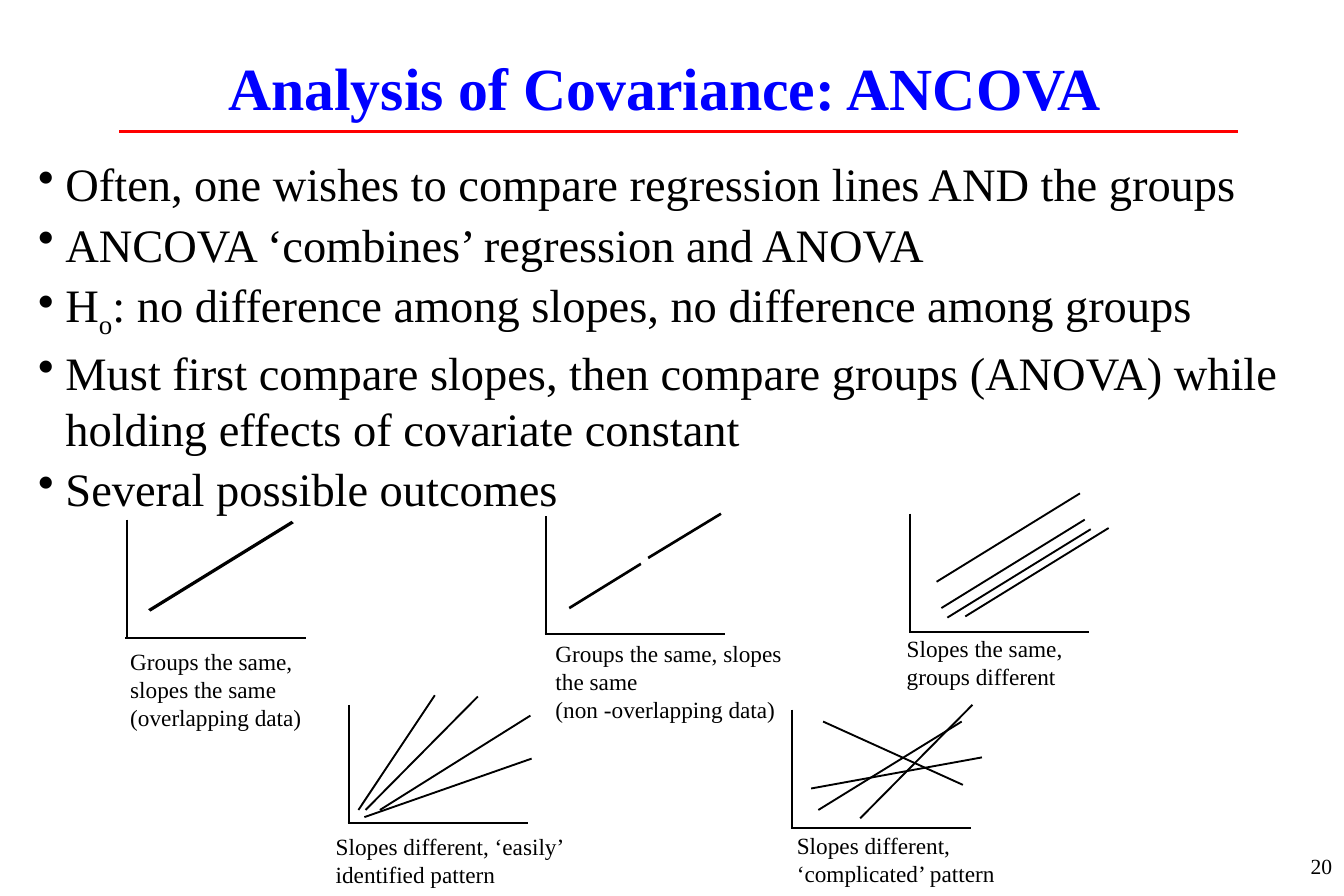
from dataclasses import dataclass

from lxml.etree import SubElement
from pptx import Presentation
from pptx.dml.color import RGBColor
from pptx.enum.shapes import MSO_CONNECTOR as Connector
from pptx.enum.text import MSO_ANCHOR as Anchor, MSO_AUTO_SIZE as AutoSize, PP_ALIGN as Align
from pptx.oxml.ns import qn
from pptx.util import Inches, Pt


@dataclass(frozen=True)
class Theme:
    font: str = "Times New Roman"
    title_color: RGBColor = RGBColor(0x00, 0x00, 0xFF)
    rule_color: RGBColor = RGBColor(0xFF, 0x00, 0x00)
    ink: RGBColor = RGBColor(0x00, 0x00, 0x00)
    title_size: float = 36
    body_size: float = 28
    caption_size: float = 14
    number_size: float = 13
    rule_width: float = 1.5
    plot_width: float = 1.13


class AncovaSlide:
    """Draws the parts of one slide in a shared style."""

    def __init__(self, slide, theme):
        self.slide, self.theme = slide, theme

    def style_frame(self, frame, margins=(0.1, 0.05), **formats):
        side, end = (Inches(margin) for margin in margins)
        settings = {
            "word_wrap": True, "auto_size": AutoSize.NONE, "vertical_anchor": Anchor.TOP,
            "margin_left": side, "margin_right": side, "margin_top": end, "margin_bottom": end,
        }
        for name, value in (settings | formats).items():
            setattr(frame, name, value)

    def add_words(self, paragraph, words, size, color=None, bold=False, baseline=0):
        run = paragraph.add_run()
        run.text = words
        formats = {"name": self.theme.font, "size": Pt(size), "bold": bold}
        for name, value in formats.items():
            setattr(run.font, name, value)
        run.font.color.rgb = color or self.theme.ink
        if baseline:
            run._r.get_or_add_rPr().set("baseline", str(baseline * 1000))

    def title(self, words, box):
        heading = self.slide.shapes.title
        for name, value in zip(("left", "top", "width", "height"), box):
            setattr(heading, name, Inches(value))
        self.style_frame(heading.text_frame, vertical_anchor=Anchor.MIDDLE)
        paragraph = heading.text_frame.paragraphs[0]
        paragraph.alignment = Align.CENTER
        self.add_words(paragraph, words, self.theme.title_size, self.theme.title_color, bold=True)

    def text(self, lines, box, size, align=Align.LEFT, **frame_formats):
        frame = self.slide.shapes.add_textbox(*map(Inches, box)).text_frame
        self.style_frame(frame, **frame_formats)
        for index, line in enumerate(lines):
            paragraph = frame.add_paragraph() if index else frame.paragraphs[0]
            paragraph.alignment = align
            for part, baseline in [(line, 0)] if isinstance(line, str) else line:
                self.add_words(paragraph, part, size, baseline=baseline)
        return frame

    def bullets(self, lines, box):
        for paragraph in self.text(lines, box, self.theme.body_size).paragraphs:
            paragraph.space_before = Pt(2.8)
            properties = paragraph._p.get_or_add_pPr()
            properties.set("marL", str(Inches(0.23)))
            properties.set("indent", str(-Inches(0.23)))
            SubElement(properties, qn("a:buChar"), char="•")

    def line(self, ends, color, width, shapes=None):
        shapes = shapes or self.slide.shapes
        stroke = shapes.add_connector(Connector.STRAIGHT, *map(Inches, ends))
        stroke.line.color.rgb = color
        stroke.line.width = Pt(width)
        SubElement(stroke._element.spPr, qn("a:effectLst"))

    def bar(self, ends, shapes, shift):
        x1, y1, x2, y2 = ends
        dx, dy = shift
        corners = [(x1, y1), (x1 + dx, y1 + dy), (x2 + dx, y2 + dy), (x2, y2)]
        start, *others = [(Inches(x), Inches(y)) for x, y in corners]
        builder = shapes.build_freeform(*start)
        builder.add_line_segments(others, close=True)
        stroke = builder.convert_to_shape()
        stroke.shadow.inherit = False
        stroke.fill.solid()
        stroke.fill.fore_color.rgb = self.theme.ink
        stroke.line.fill.background()

    def plot(self, origin, caption, caption_box, trends=(), bars=(), shift=(0.01, 0.02)):
        x, y = origin
        shapes = self.slide.shapes.add_group_shape().shapes
        axes = [(x + 0.01, y - 0.99, x + 0.01, y - 0.01), (x, y, x + 1.51, y)]
        for ends in [*axes, *trends]:
            self.line(ends, self.theme.ink, self.theme.plot_width, shapes)
        for ends in bars:
            self.bar(ends, shapes, shift)
        self.text(caption, caption_box, self.theme.caption_size, margins=(0, 0))


BULLETS = [
    "Often, one wishes to compare regression lines AND the groups",
    "ANCOVA ‘combines’ regression and ANOVA",
    [("H", 0), ("o", -25), (": no difference among slopes, no difference among groups", 0)],
    "Must first compare slopes, then compare groups (ANOVA) while "
    "holding effects of covariate constant",
    "Several possible outcomes",
]

OUTCOMES = [
    {"origin": (1.05, 5.34), "caption_box": (1.09, 5.42, 1.74, 0.7),
     "caption": ["Groups the same, slopes the same (overlapping data)"],
     "bars": [(1.24, 5.1, 2.44, 4.36)], "shift": (0.02, 0.02)},
    {"origin": (4.56, 5.31), "caption_box": (4.65, 5.35, 2.1, 0.7),
     "caption": ["Groups the same, slopes the same", "(non -overlapping data)"],
     "bars": [(4.76, 5.08, 5.36, 4.71), (5.42, 4.66, 6.03, 4.29)], "shift": (0.01, 0.02)},
    {"origin": (7.61, 5.29), "caption_box": (7.59, 5.31, 1.74, 0.47),
     "caption": ["Slopes the same, groups different"],
     "trends": [(x, y, x + 1.2, y - 0.74)
                for x, y in [(7.93, 5.17), (8.08, 5.16), (7.84, 4.87), (7.88, 5.09)]]},
    {"origin": (2.91, 6.89), "caption_box": (2.81, 6.97, 2.16, 0.47),
     "caption": ["Slopes different, ‘easily’ identified pattern"],
     "trends": [(3.05, 6.84, 4.45, 6.35), (3, 6.78, 3.64, 5.82),
                (3.18, 6.78, 4.44, 5.99), (3.06, 6.78, 4, 5.83)]},
    {"origin": (6.62, 6.93), "caption_box": (6.67, 6.96, 1.74, 0.47),
     "caption": ["Slopes different, ‘complicated’ pattern"],
     "trends": [(6.85, 6.78, 8.05, 6.04), (6.89, 6.04, 8.06, 6.57),
                (7.2, 6.85, 8.14, 5.9), (6.79, 6.6, 8.22, 6.34)]},
]


def main():
    deck = Presentation()
    deck.slide_width, deck.slide_height = Inches(11.25), Inches(7.5)
    theme = Theme()
    page = AncovaSlide(deck.slides.add_slide(deck.slide_layouts[5]), theme)
    page.title("Analysis of Covariance: ANCOVA", (0.43, 0.1, 10.27, 1.25))
    page.bullets(BULLETS, (0.22, 1.25, 10.76, 3.09))
    page.line((1, 1.1, 10.36, 1.1), theme.rule_color, theme.rule_width)
    for outcome in OUTCOMES:
        page.plot(**outcome)
    page.text(["20"], (8.91, 7, 2.34, 0.5), theme.number_size, Align.RIGHT,
              vertical_anchor=Anchor.MIDDLE)
    deck.save("out.pptx")


if __name__ == "__main__":
    main()
